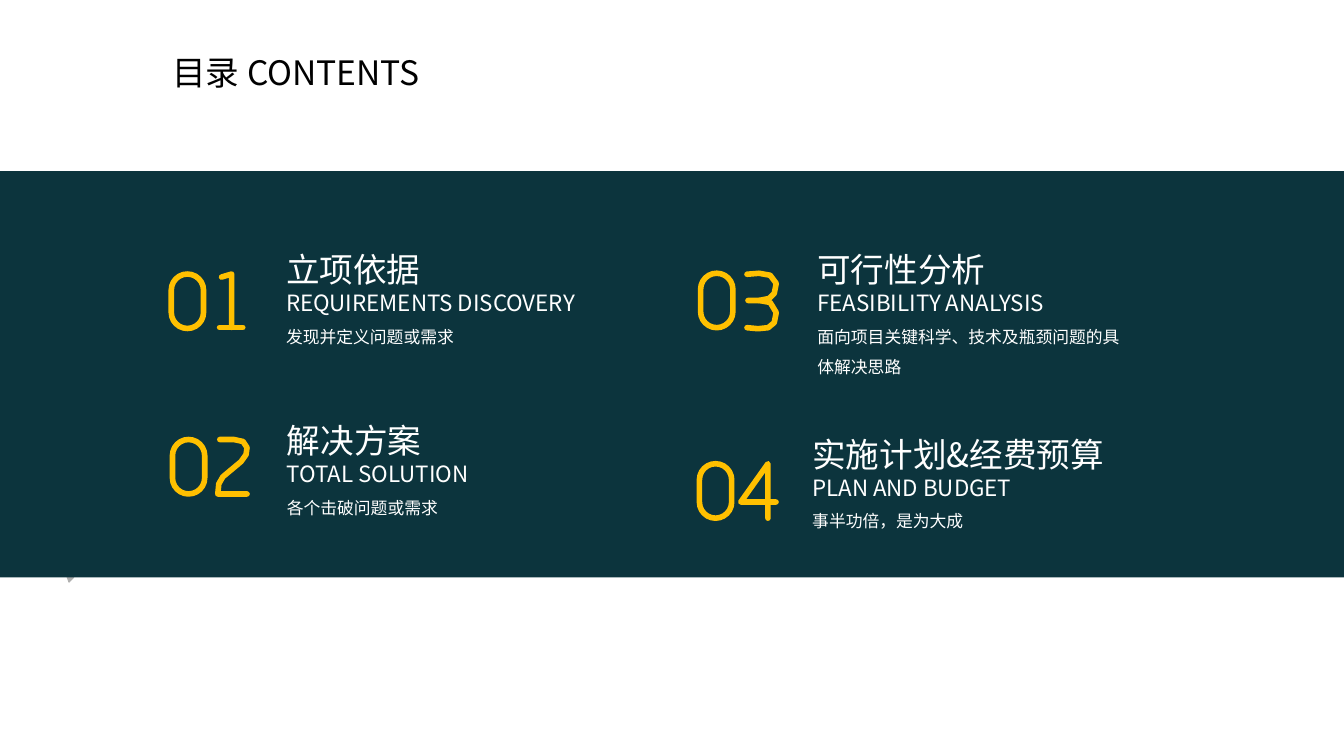
"""Builds a contents slide with four numbered chapters on a dark band."""
from dataclasses import dataclass

from lxml.etree import SubElement
from pptx import Presentation
from pptx.dml.color import RGBColor
from pptx.enum.shapes import MSO_SHAPE
from pptx.enum.text import MSO_ANCHOR, MSO_AUTO_SIZE, PP_ALIGN
from pptx.oxml.ns import qn
from pptx.util import Cm, Pt


@dataclass(frozen=True)
class Theme:
    """Colours, font and type sizes of the slide."""
    font: str = "Noto Sans CJK SC"
    band: RGBColor = RGBColor(0x0C, 0x34, 0x3D)
    number: RGBColor = RGBColor(0xFF, 0xC0, 0x00)
    white: RGBColor = RGBColor(0xFF, 0xFF, 0xFF)
    black: RGBColor = RGBColor(0, 0, 0)
    fold: tuple = (RGBColor(0x36, 0x36, 0x35), RGBColor(0x48, 0x48, 0x47))
    heading: int = 24
    subheading: int = 16
    body: int = 12
    stroke: int = 4


THEME = Theme()
UNIT = Cm(0.0254)

STROKES = {
    "1": [[(5, 6), (15, 3), (15, 56)], [(3, 56), (26, 56)]],
    "2": [[(5, 3), (19, 3), (28, 5), (32, 11), (31, 18), (26, 25), (8, 40),
           (4, 47), (3, 57), (32, 57)]],
    "3": [[(3, 4), (15, 3), (26, 5), (32, 13), (30, 23), (25, 28), (15, 30), (4, 30)],
          [(15, 30), (26, 32), (32, 42), (30, 52), (24, 57), (14, 58), (3, 57)]],
    "4": [[(30, 57), (30, 3), (3, 41), (38, 41)]],
}
ADVANCE = {"1": 48, "2": 45, "3": 46, "4": 41}

CHAPTERS = [
    ("01", (4.24, 6.83), (2.72, -0.68),
     ("立项依据", "REQUIREMENTS DISCOVERY", "发现并定义问题或需求")),
    ("02", (4.27, 11), (2.71, -0.54),
     ("解决方案", "TOTAL SOLUTION", "各个击破问题或需求")),
    ("03", (17.58, 6.81), (2.77, -0.66),
     ("可行性分析", "FEASIBILITY ANALYSIS", "面向项目关键科学、技术及瓶颈问题的具体解决思路")),
    ("04", (17.55, 11.61), (2.67, -0.81),
     ("实施计划&经费预算", "PLAN AND BUDGET", "事半功倍，是为大成")),
]


def add_run(p, text, size, color):
    """Add one run in the theme font."""
    r = p.add_run()
    r.text = text
    r.font.size = Pt(size)
    r.font.color.rgb = color
    r.font.name = THEME.font
    SubElement(r.font._element, qn("a:ea"), typeface=THEME.font)


def add_path(shapes, lines, x, y, close=False):
    """Add a freeform made of lines whose local origin lies at x, y."""
    builder = shapes.build_freeform(*lines[0][0], scale=UNIT)
    for i, (start, *rest) in enumerate(lines):
        if i:
            builder.move_to(*start)
        builder.add_line_segments(rest, close=close)
    return builder.convert_to_shape(x, y)


def style_stroke(sp):
    """Give a digit its thick round stroke."""
    sp.shadow.inherit = False
    sp.fill.background()
    sp.line.color.rgb = THEME.number
    sp.line.width = Pt(THEME.stroke)
    ln = sp._element.spPr.find(qn("a:ln"))
    ln.set("cap", "rnd")
    SubElement(ln, qn("a:round"))


def add_fold(s, x, y):
    """Add the translucent triangle that peeks out below the band."""
    sp = add_path(s.shapes, [[(0, 0), (135, 20), (45, 114)]], x, y, close=True)
    sp.line.fill.background()
    sp.shadow.inherit = False
    sp.fill.gradient()
    sp.fill.gradient_angle = 28
    for stop, color, position in zip(sp.fill.gradient_stops, THEME.fold, (0, 1)):
        stop.color.rgb = color
        stop.position = position
    first = next(sp._element.iter(qn("a:srgbClr")))
    SubElement(first, qn("a:alpha"), val="22000")


def add_band(s, x, y, w, h):
    """Add the dark band behind the chapters."""
    sp = s.shapes.add_shape(MSO_SHAPE.RECTANGLE, x, y, w, h)
    sp.fill.solid()
    sp.fill.fore_color.rgb = THEME.band
    sp.line.fill.background()
    sp.shadow.inherit = False


def add_title(s, text, x, y, w, h):
    """Place the title placeholder and fill it."""
    sp = s.shapes.title
    sp.left, sp.top, sp.width, sp.height = x, y, w, h
    tf = sp.text_frame
    tf.auto_size = MSO_AUTO_SIZE.NONE
    tf.vertical_anchor = MSO_ANCHOR.MIDDLE
    p = tf.paragraphs[0]
    p.alignment = PP_ALIGN.LEFT
    p.line_spacing = 0.9
    add_run(p, text, THEME.heading, THEME.black)


def add_number(s, number, x, y):
    """Add a group with a zero and the digit that follows it."""
    shapes = s.shapes.add_group_shape().shapes
    digit = number[-1]
    zero = shapes.add_shape(MSO_SHAPE.ROUNDED_RECTANGLE, x + 3 * UNIT, y + 3 * UNIT,
                            32 * UNIT, 54 * UNIT)
    zero.adjustments[0] = 0.5
    style_stroke(zero)
    style_stroke(add_path(shapes, STROKES[digit], x + ADVANCE[digit] * UNIT, y))


def add_chapter(s, number, x, y, offset, lines):
    """Add a chapter: its number and three lines of text beside it."""
    add_number(s, number, x, y)
    dx, dy = offset
    tf = s.shapes.add_textbox(x + Cm(dx), y + Cm(dy), Cm(8.31), Cm(2.82)).text_frame
    tf.word_wrap = True
    sizes = (THEME.heading, THEME.subheading, THEME.body)
    for i, (text, size) in enumerate(zip(lines, sizes)):
        p = tf.add_paragraph() if i else tf.paragraphs[0]
        add_run(p, text, size, THEME.white)
    p.line_spacing = 1.5


def main():
    """Build and save the slide."""
    prs = Presentation()
    prs.slide_width, prs.slide_height = Cm(33.87), Cm(19.05)
    s = prs.slides.add_slide(prs.slide_layouts[5])
    add_fold(s, Cm(0.58), Cm(11.79))
    add_band(s, 0, Cm(4.31), prs.slide_width, Cm(10.24))
    add_title(s, "目录 CONTENTS", Cm(4.09), Cm(0.99), Cm(8.31), Cm(1.78))
    for number, (x, y), offset, lines in CHAPTERS:
        add_chapter(s, number, Cm(x), Cm(y), offset, lines)
    prs.save("out.pptx")


if __name__ == "__main__":
    main()
